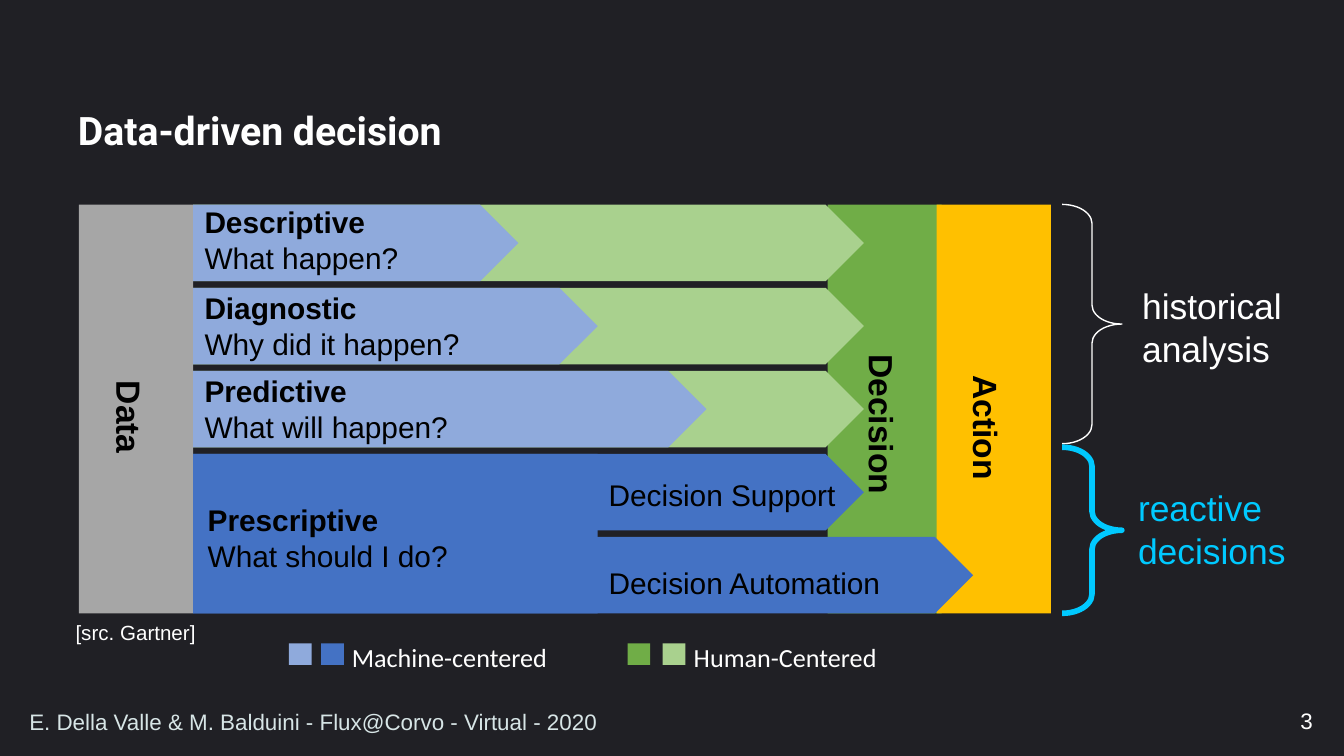
from dataclasses import dataclass

from pptx import Presentation
from pptx.dml.color import RGBColor
from pptx.enum.shapes import MSO_SHAPE
from pptx.enum.text import MSO_ANCHOR, PP_ALIGN
from pptx.shapes.autoshape import Shape
from pptx.slide import Slide
from pptx.util import Pt

BACKGROUND = RGBColor(0x20, 0x20, 0x25)
WHITE = RGBColor(0xFF, 0xFF, 0xFF)
BLACK = RGBColor(0x00, 0x00, 0x00)
GREY = RGBColor(0xA6, 0xA6, 0xA6)
AMBER = RGBColor(0xFF, 0xC0, 0x00)
CYAN = RGBColor(0x00, 0xC9, 0xFF)
FOOTER_GREY = RGBColor(0xD7, 0xE5, 0xE6)
MACHINE_LIGHT = RGBColor(0x8F, 0xAA, 0xDC)
MACHINE_DARK = RGBColor(0x44, 0x72, 0xC4)
HUMAN_LIGHT = RGBColor(0xA9, 0xD1, 0x8E)
HUMAN_DARK = RGBColor(0x70, 0xAD, 0x47)

RAIL_WIDTH = 61.2
DATA_LEFT, DECISION_LEFT, ACTION_LEFT = 42.3, 443.3, 501.8
ROWS_LEFT = DATA_LEFT + RAIL_WIDTH
ROWS_TOP, ROW_HEIGHT, ROW_PITCH = 109.7, 41, 44.5
DIAGRAM_HEIGHT = 4 * ROW_PITCH + ROW_HEIGHT
DECISION_REACH, ACTION_REACH = 359.3, 417.8
PRESCRIPTIVE_WIDTH = 216.7


@dataclass(frozen=True)
class Arrow:
    row: int
    width: float
    colour: RGBColor


@dataclass(frozen=True)
class Label:
    lines: tuple[str, ...]
    left: float
    top: float
    width: float
    height: float
    size: float = 16
    colour: RGBColor = BLACK
    font: str = "Arial"
    bold_lines: int = 0
    rotation: float = 0
    wrap: bool = False
    anchor: MSO_ANCHOR = MSO_ANCHOR.TOP
    align: PP_ALIGN = PP_ALIGN.LEFT


@dataclass(frozen=True)
class Brace:
    top: float
    height: float
    colour: RGBColor
    weight: float


@dataclass(frozen=True)
class Swatch:
    left: float
    colour: RGBColor


ARROWS = (
    *(Arrow(row, DECISION_REACH, HUMAN_LIGHT) for row in range(3)),
    Arrow(3, DECISION_REACH, MACHINE_DARK),
    Arrow(4, ACTION_REACH, MACHINE_DARK),
    Arrow(0, 174.2, MACHINE_LIGHT),
    Arrow(1, 216.7, MACHINE_LIGHT),
    Arrow(2, 275, MACHINE_LIGHT),
)

LABELS = (
    Label(("Data",), 43.2, 213.8, 57.5, 23.8, 18, bold_lines=1, rotation=90),
    Label(("Decision",), 425, 221, 100.3, 23.8, 18, bold_lines=1, rotation=90),
    Label(("Action",), 491.8, 221.3, 78.3, 23.8, 18, bold_lines=1, rotation=90),
    Label(("Descriptive", "What happen?"), 102.5, 105.5, 160, 41, bold_lines=1),
    Label(("Diagnostic", "Why did it happen?"), 102.5, 151.5, 160, 41, bold_lines=1),
    Label(("Predictive", "What will happen?"), 102.5, 196.1, 160, 41, bold_lines=1),
    Label(("Prescriptive", "What should I do?"), 104.2, 265.2, 160, 41, bold_lines=1),
    Label(("Decision Support",), 319, 252, 170, 25.2),
    Label(("Decision Automation",), 319, 298.8, 170, 25.2),
    Label(("Machine-centered",), 181.4, 339.8, 130, 25.2, 14, WHITE, "Calibri"),
    Label(("Human-Centered",), 364.6, 339.8, 130, 25.2, 14, WHITE, "Calibri"),
    Label(("historical", "analysis"), 604.8, 148.8, 95.8, 53.3, 19, WHITE),
    Label(("reactive decisions",), 602.6, 257, 114.5, 53.3, 19, CYAN, wrap=True),
    Label(("[src. Gartner]",), 33.4, 328.6, 90, 20.9, 11, WHITE),
    Label(("E. Della Valle & M. Balduini - Flux@Corvo - Virtual - 2020",),
          8.6, 376, 536.4, 20.9, 12, FOOTER_GREY, wrap=True, anchor=MSO_ANCHOR.MIDDLE),
    Label(("3",), 548.4, 375.1, 162, 21.6, 12, WHITE, wrap=True,
          anchor=MSO_ANCHOR.MIDDLE, align=PP_ALIGN.RIGHT),
)

BRACES = (Brace(109.5, 128.2, WHITE, 0.75), Brace(239.6, 89, CYAN, 3))

SWATCHES = (
    Swatch(154.8, MACHINE_LIGHT),
    Swatch(172.1, MACHINE_DARK),
    Swatch(336.2, HUMAN_DARK),
    Swatch(355, HUMAN_LIGHT),
)


def add_block(slide: Slide, left: float, top: float, width: float, height: float,
              colour: RGBColor, outline: MSO_SHAPE = MSO_SHAPE.RECTANGLE) -> None:
    block = slide.shapes.add_shape(outline, Pt(left), Pt(top), Pt(width), Pt(height))
    block.shadow.inherit = False
    block.fill.solid()
    block.fill.fore_color.rgb = colour
    block.line.fill.background()


def add_arrow(slide: Slide, arrow: Arrow) -> None:
    add_block(slide, ROWS_LEFT, ROWS_TOP + arrow.row * ROW_PITCH, arrow.width,
              ROW_HEIGHT, arrow.colour, MSO_SHAPE.PENTAGON)


def add_brace(slide: Slide, brace: Brace) -> None:
    shape = slide.shapes.add_shape(MSO_SHAPE.RIGHT_BRACE, Pt(569), Pt(brace.top),
                                   Pt(32), Pt(brace.height))
    shape.shadow.inherit = False
    shape.adjustments[0] = 0.32
    shape.fill.background()
    shape.line.color.rgb = brace.colour
    shape.line.width = Pt(brace.weight)


def add_label(slide: Slide, label: Label) -> Shape:
    box = slide.shapes.add_textbox(Pt(label.left), Pt(label.top),
                                   Pt(label.width), Pt(label.height))
    box.rotation = label.rotation
    frame = box.text_frame
    frame.word_wrap = label.wrap
    frame.vertical_anchor = label.anchor
    frame.text = "\n".join(label.lines)
    for index, paragraph in enumerate(frame.paragraphs):
        paragraph.alignment = label.align
        paragraph.font.name = label.font
        paragraph.font.size = Pt(label.size)
        paragraph.font.bold = index < label.bold_lines
        paragraph.font.color.rgb = label.colour
    return box


def add_title(slide: Slide) -> None:
    title = add_label(slide, Label(("Data-driven decision",), 36.7, 48.2, 646.6, 46.1, 21,
                                   WHITE, "Roboto", bold_lines=1, wrap=True,
                                   anchor=MSO_ANCHOR.MIDDLE))
    frame = title.text_frame
    frame.margin_left = frame.margin_right = Pt(5)
    frame.margin_top = frame.margin_bottom = Pt(2.9)
    frame.paragraphs[0].line_spacing = 0.9


def main() -> None:
    presentation = Presentation()
    presentation.slide_width, presentation.slide_height = Pt(720), Pt(405)
    slide = presentation.slides.add_slide(presentation.slide_layouts[6])
    slide.background.fill.solid()
    slide.background.fill.fore_color.rgb = BACKGROUND

    add_title(slide)
    for left, colour in ((DATA_LEFT, GREY), (DECISION_LEFT, HUMAN_DARK), (ACTION_LEFT, AMBER)):
        add_block(slide, left, ROWS_TOP, RAIL_WIDTH, DIAGRAM_HEIGHT, colour)
    for arrow in ARROWS:
        add_arrow(slide, arrow)
    add_block(slide, ROWS_LEFT, ROWS_TOP + 3 * ROW_PITCH, PRESCRIPTIVE_WIDTH,
              ROW_PITCH + ROW_HEIGHT, MACHINE_DARK)
    for brace in BRACES:
        add_brace(slide, brace)
    for swatch in SWATCHES:
        add_block(slide, swatch.left, 344.7, 12.2, 11.5, swatch.colour)
    for label in LABELS:
        add_label(slide, label)

    presentation.save("out.pptx")


if __name__ == "__main__":
    main()
